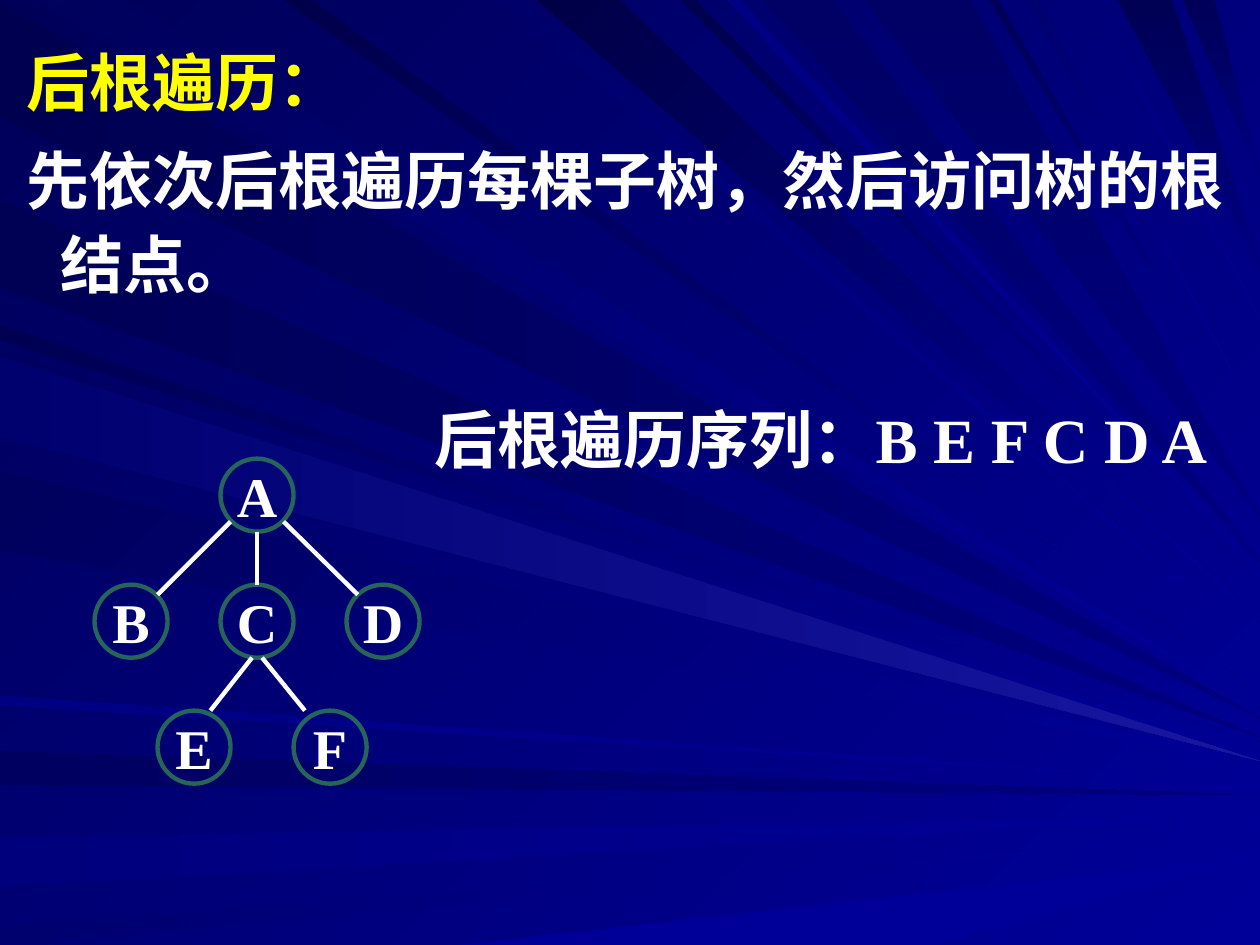
from dataclasses import dataclass

from lxml import etree
from pptx import Presentation
from pptx.dml.color import RGBColor
from pptx.enum.shapes import MSO_CONNECTOR, MSO_SHAPE
from pptx.enum.text import MSO_ANCHOR, PP_ALIGN
from pptx.oxml.ns import qn
from pptx.util import Inches, Pt

OVAL = MSO_SHAPE.OVAL
STRAIGHT = MSO_CONNECTOR.STRAIGHT
MIDDLE = MSO_ANCHOR.MIDDLE
CENTER = PP_ALIGN.CENTER


@dataclass(frozen=True)
class Theme:
    dark: str = "000058"
    mid: str = "000080"
    blue: str = "000099"
    glow: str = "1717A2"
    heading: str = "FFFF00"
    text: str = "FFFFFF"
    ring: str = "26665A"
    cjk: str = "Noto Sans CJK SC"
    latin: str = "Times New Roman"
    body_size: int = 36
    node_size: int = 32
    stroke: float = 2.5


theme = Theme()


def paint(fill, start, end, angle):
    fill.gradient()
    fill.gradient_angle = -angle % 360
    for stop, color in zip(fill.gradient_stops, (start, end)):
        stop.color.rgb = RGBColor.from_string(color)


def style(p, font, size, color):
    p.font.name = font
    p.font.size = Pt(size)
    p.font.bold = True
    p.font.color.rgb = RGBColor.from_string(color)
    latin = p._p.pPr.find(qn("a:defRPr")).find(qn("a:latin"))
    latin.addnext(etree.Element(qn("a:ea"), typeface=theme.cjk))


prs = Presentation()
prs.slide_width, prs.slide_height = Inches(10), Inches(7.5)
s = prs.slides.add_slide(prs.slide_layouts[6])
paint(s.background.fill, theme.dark, theme.blue, 45)

ray_groups = [
    ("left", 0, theme.mid, [("000051", 0.02, 0.93, 5.7), ("000055", 1.59, 2.28, 5.85),
                            ("000061", 5.96, 6.23, 6.31)]),
    ("left", 0, theme.blue, [("00007D", 6.65, 7.04, 6.47), ("00006F", 7.35, 7.5, 6.62)]),
    ("bottom", 0, theme.blue, [("000099", 3.64, 7.42, 6.8)]),
    ("top", 45, theme.blue, [("00005D", 0.26, 1.01, 5.63), ("00006B", 3.98, 4.16, 5.18),
                             ("000047", 4.26, 4.92, 4.93), ("00004F", 5.4, 5.52, 4.63)]),
    ("top", 90, theme.mid, [("000065", 6.06, 6.61, 4.46), ("000055", 8.87, 9.3, 2.1),
                            ("000059", 9.39, 9.64, 1.4)]),
    ("left", 45, theme.blue, [("000053", 2.58, 2.7, 5.89), ("000061", 2.78, 3.42, 5.99),
                              ("00005D", 3.74, 4.37, 6.06)]),
    ("left", 0, theme.blue, [("000082", 5.52, 5.6, 6.22)]),
    ("top", 45, theme.blue, [("00004A", 2.25, 2.47, 5.5), ("000082", 5.77, 5.88, 4.54)]),
    ("top", 90, theme.mid, [("000065", 6.86, 7.7, 4.1)]),
    ("top", 45, theme.blue, [("000058", 7.85, 7.92, 3.57), ("00006F", 8.15, 8.24, 3.36),
                             ("000079", 8.65, 8.72, 2.54)]),
    ("left", 0, theme.glow, [("00006F", 2.83, 3.47, 6.04)]),
]
for side, angle, end, rays in ray_groups:
    for start, near, far, tip in rays:
        if side == "left":
            base = [(0, Inches(near)), (0, Inches(far))]
        else:
            edge = 0 if side == "top" else prs.slide_height
            base = [(Inches(near), edge), (Inches(far), edge)]
        builder = s.shapes.build_freeform(*base[0])
        builder.add_line_segments([base[1], (prs.slide_width, Inches(tip))], close=True)
        sp = builder.convert_to_shape()
        sp.shadow.inherit = False
        sp.line.fill.background()
        paint(sp.fill, start, end, angle)

tf = s.shapes.add_textbox(Inches(0), Inches(0.23), Inches(10), Inches(2.2)).text_frame
tf.word_wrap = True
tf.text = "后根遍历：\n先依次后根遍历每棵子树，然后访问树的根结点。"
for p, color in zip(tf.paragraphs, (theme.heading, theme.text)):
    pPr = p._p.get_or_add_pPr()
    pPr.set("marL", str(Inches(0.38)))
    pPr.set("indent", str(Inches(-0.27)))
    p.line_spacing = Pt(48)
    style(p, theme.cjk, theme.body_size, color)
tf.paragraphs[1].space_before = Pt(8)

tf = s.shapes.add_textbox(Inches(3.35), Inches(3.12), Inches(6.65), Inches(0.7)).text_frame
tf.word_wrap = True
p = tf.paragraphs[0]
p.text = "后根遍历序列：B E F C D A"
p.line_spacing = Pt(44)
style(p, theme.latin, theme.body_size, theme.text)

diameter = Inches(0.58)
levels = [(3.64, {"A": 1.75}), (4.64, {"B": 0.75, "C": 1.75, "D": 2.75}),
          (5.64, {"E": 1.25, "F": 2.33})]
for y, nodes in levels:
    for label, x in nodes.items():
        sp = s.shapes.add_shape(OVAL, Inches(x), Inches(y), diameter, diameter)
        sp.shadow.inherit = False
        sp.fill.background()
        sp.line.color.rgb = RGBColor.from_string(theme.ring)
        sp.line.width = Pt(theme.stroke)
        tf = sp.text_frame
        tf.margin_left = tf.margin_right = tf.margin_top = tf.margin_bottom = 0
        tf.word_wrap = False
        tf.vertical_anchor = MIDDLE
        p = tf.paragraphs[0]
        p.text = label
        p.alignment = CENTER
        style(p, theme.latin, theme.node_size, theme.text)

branches = [(2.04, 4.22, 2.04, 4.64), (1.83, 4.14, 1.25, 4.72), (2.25, 4.14, 2.84, 4.72),
            (2, 5.22, 1.67, 5.64), (2.08, 5.22, 2.42, 5.64)]
for branch in branches:
    line = s.shapes.add_connector(STRAIGHT, *map(Inches, branch))
    line.line.color.rgb = RGBColor.from_string(theme.text)
    line.line.width = Pt(theme.stroke)
    etree.SubElement(line._element.spPr, qn("a:effectLst"))

prs.save("out.pptx")
